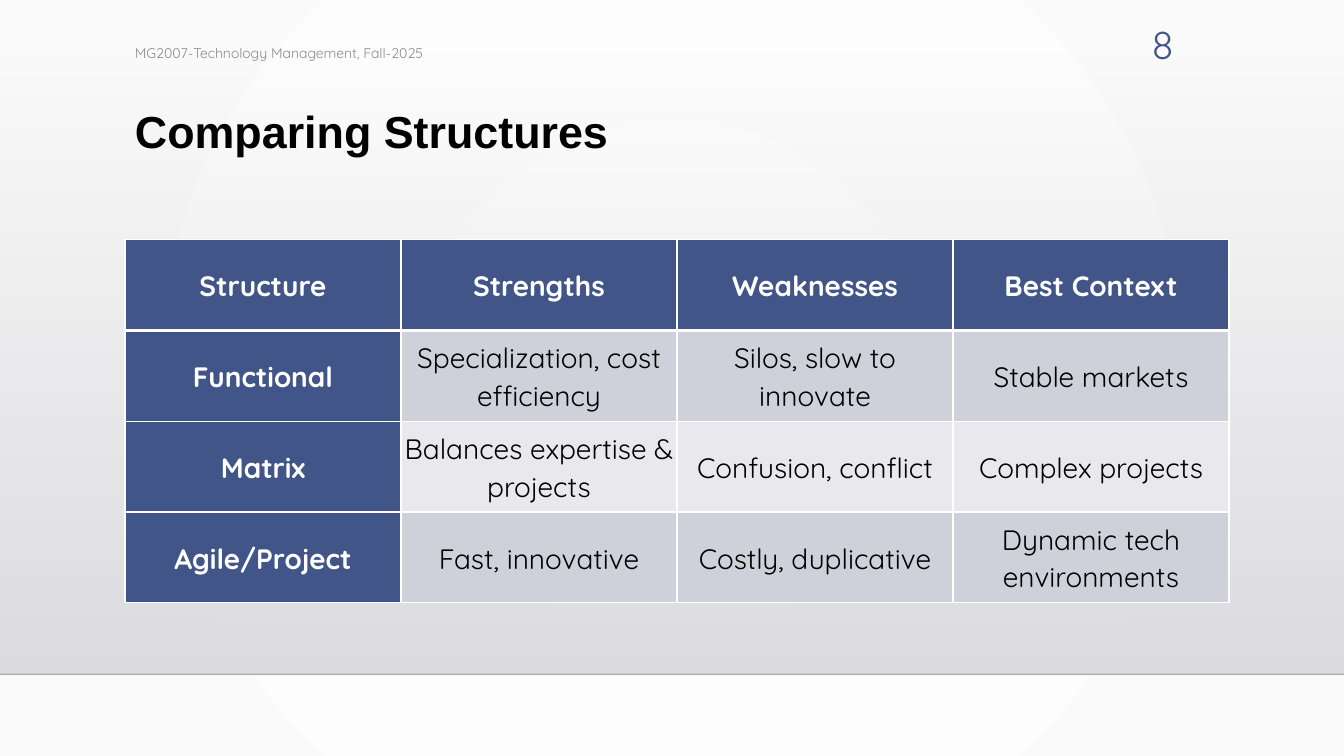
from pptx import Presentation
from pptx import oxml
from pptx.dml import color
from pptx.enum import shapes, text
from pptx.oxml import ns
from pptx.util import Inches, Pt

BLUE, WHITE, BLACK = "415588", "FFFFFF", "000000"
BANDS = ["CFD1DA", "E9E9ED"]
LEFT, WIDTH, ROW_HEIGHT = 1.24, 10.95, 0.9
ROWS = [
    ["Structure", "Strengths", "Weaknesses", "Best Context"],
    ["Functional", "Specialization, cost efficiency", "Silos, slow to innovate", "Stable markets"],
    ["Matrix", "Balances expertise & projects", "Confusion, conflict", "Complex projects"],
    ["Agile/Project", "Fast, innovative", "Costly, duplicative", "Dynamic tech environments"],
]


def rgb(value):
    return color.RGBColor.from_string(value)


def element(markup):
    name, rest = markup.split(" ", 1)
    return oxml.parse_xml(f"{name} {ns.nsdecls('a')} {rest}")


def write(frame, words, size=20, font="Quicksand", ink=BLACK, bold=False,
          align=text.PP_ALIGN.LEFT, spacing=1.0, after=0):
    para = frame.paragraphs[0]
    para.alignment, para.line_spacing, para.space_after = align, spacing, Pt(after)
    span = para.add_run()
    span.text = words
    span.font.size, span.font.name, span.font.bold = Pt(size), font, bold
    span.font.color.rgb = rgb(ink)


class SlideBuilder:
    """Hold the deck style and the current page, and draw each kind of element."""

    def __init__(self, deck):
        self.page = deck.slides.add_slide(deck.slide_layouts[6])

    def gradient(self, owner, fill, stops, direction):
        fill.gradient()
        old = owner.element.find(".//" + ns.qn("a:gradFill"))
        marks = "".join(
            f'<a:gs pos="{place * 1000}"><a:srgbClr val="{tone}">'
            f'<a:alpha val="{opacity * 1000}"/></a:srgbClr></a:gs>'
            for place, tone, opacity in stops)
        new = element(f'<a:gradFill rotWithShape="1"><a:gsLst>{marks}</a:gsLst>{direction}</a:gradFill>')
        old.getparent().replace(old, new)

    def background(self):
        self.gradient(
            self.page, self.page.background.fill, [(0, "FFFFFF", 100), (100, "FAFAFA", 100)],
            '<a:path path="circle"><a:fillToRect l="50000" t="50000" r="50000" b="50000"/></a:path>')

    def shade(self, top, height):
        panel = self.page.shapes.add_shape(
            shapes.MSO_SHAPE.RECTANGLE, 0, Inches(top), Inches(13.33), Inches(height))
        panel.shadow.inherit = False
        panel.line.fill.background()
        self.gradient(panel, panel.fill, [(0, "DCDCE0", 0), (100, "DEDEE2", 100)],
                      '<a:lin ang="5400000" scaled="0"/>')

    def rule(self, top):
        line = self.page.shapes.add_connector(
            shapes.MSO_CONNECTOR.STRAIGHT, 0, Inches(top), Inches(13.33), Inches(top))
        line.line.width = Pt(1)
        line.line.color.rgb = rgb("000001")
        tone = line.element.find(".//" + ns.qn("a:srgbClr"))
        tone.append(element('<a:alpha val="20000"/>'))
        line.element.spPr.append(element('<a:effectLst />'))

    def label(self, words, left, top, width, height, anchor=text.MSO_ANCHOR.TOP, **style):
        box = self.page.shapes.add_textbox(*map(Inches, (left, top, width, height)))
        box.text_frame.word_wrap = True
        box.text_frame.vertical_anchor = anchor
        write(box.text_frame, words, **style)

    def borders(self, cell, top, bottom):
        properties = cell._tc.get_or_add_tcPr()
        for place, (side, points) in enumerate(zip("LRTB", (1, 1, top, bottom))):
            properties.insert(place, element(
                f'<a:ln{side} w="{Pt(points)}"><a:solidFill><a:srgbClr val="{WHITE}"/>'
                f'</a:solidFill></a:ln{side}>'))

    def table(self, rows, top):
        grid = self.page.shapes.add_table(
            len(rows), len(rows[0]), Inches(LEFT), Inches(top),
            Inches(WIDTH), Inches(ROW_HEIGHT * len(rows))).table
        grid.first_col = True
        for row, words in enumerate(rows):
            for column, entry in enumerate(words):
                cell = grid.cell(row, column)
                heading = row == 0 or column == 0
                cell.vertical_anchor = text.MSO_ANCHOR.MIDDLE
                cell.margin_left = cell.margin_right = Inches(0.01)
                cell.margin_top = cell.margin_bottom = Inches(0.01)
                cell.fill.solid()
                cell.fill.fore_color.rgb = rgb(BLUE if heading else BANDS[(row - 1) % 2])
                self.borders(cell, 3 if row == 1 else 1, 3 if row == 0 else 1)
                write(cell.text_frame, entry, ink=WHITE if heading else BLACK, bold=heading,
                      align=text.PP_ALIGN.CENTER, spacing=1.07, after=8)


def main():
    deck = Presentation()
    deck.slide_width, deck.slide_height = Inches(13.33), Inches(7.5)
    slide = SlideBuilder(deck)
    slide.background()
    slide.shade(0.51, 6.18)
    slide.rule(6.69)
    slide.label("Comparing Structures", LEFT, 1.04, WIDTH, 1.15,
                size=32, font="Arial", bold=True, spacing=0.9)
    slide.label("MG2007-Technology Management, Fall-2025", LEFT, 0.36, 6.49, 0.34,
                anchor=text.MSO_ANCHOR.MIDDLE, size=10, ink="8C8C8C")
    slide.label("8", 10.85, 0.15, 0.89, 0.55, size=28, ink=BLUE, align=text.PP_ALIGN.RIGHT)
    slide.table(ROWS, 2.38)
    deck.save("out.pptx")


if __name__ == "__main__":
    main()
